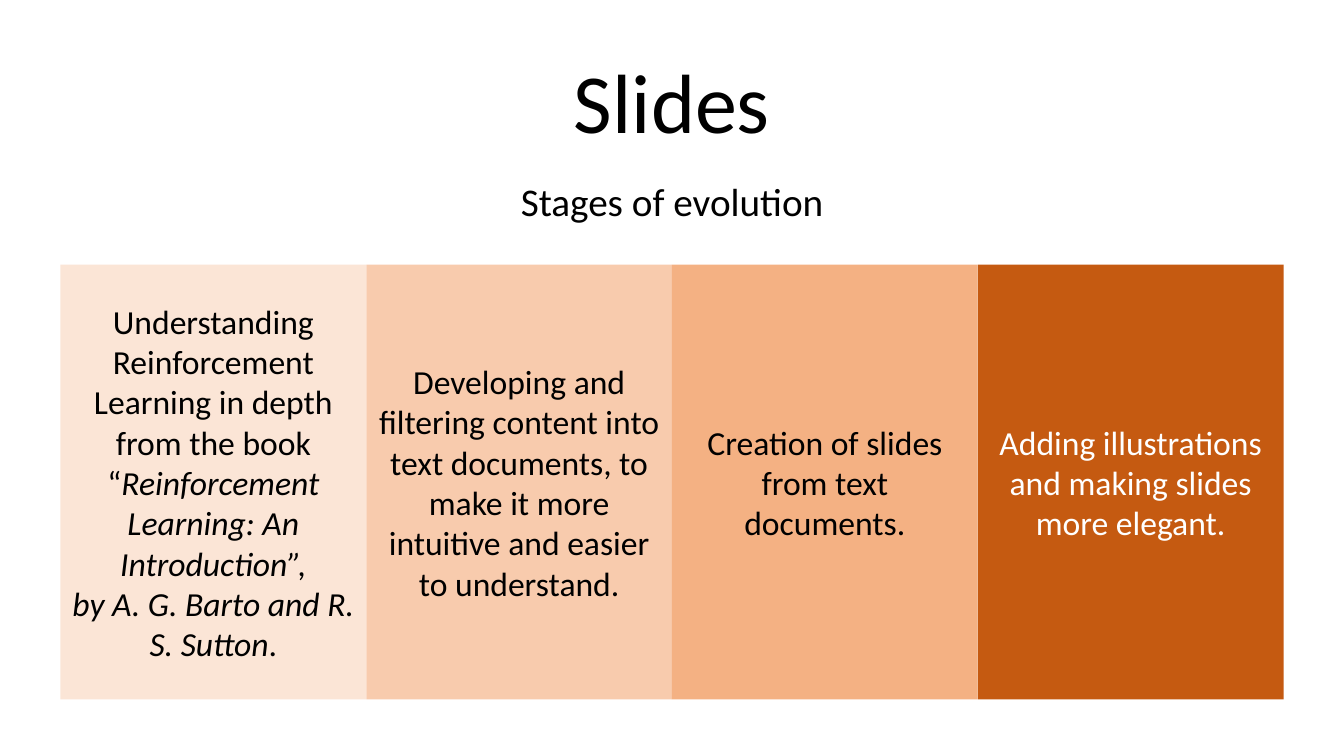
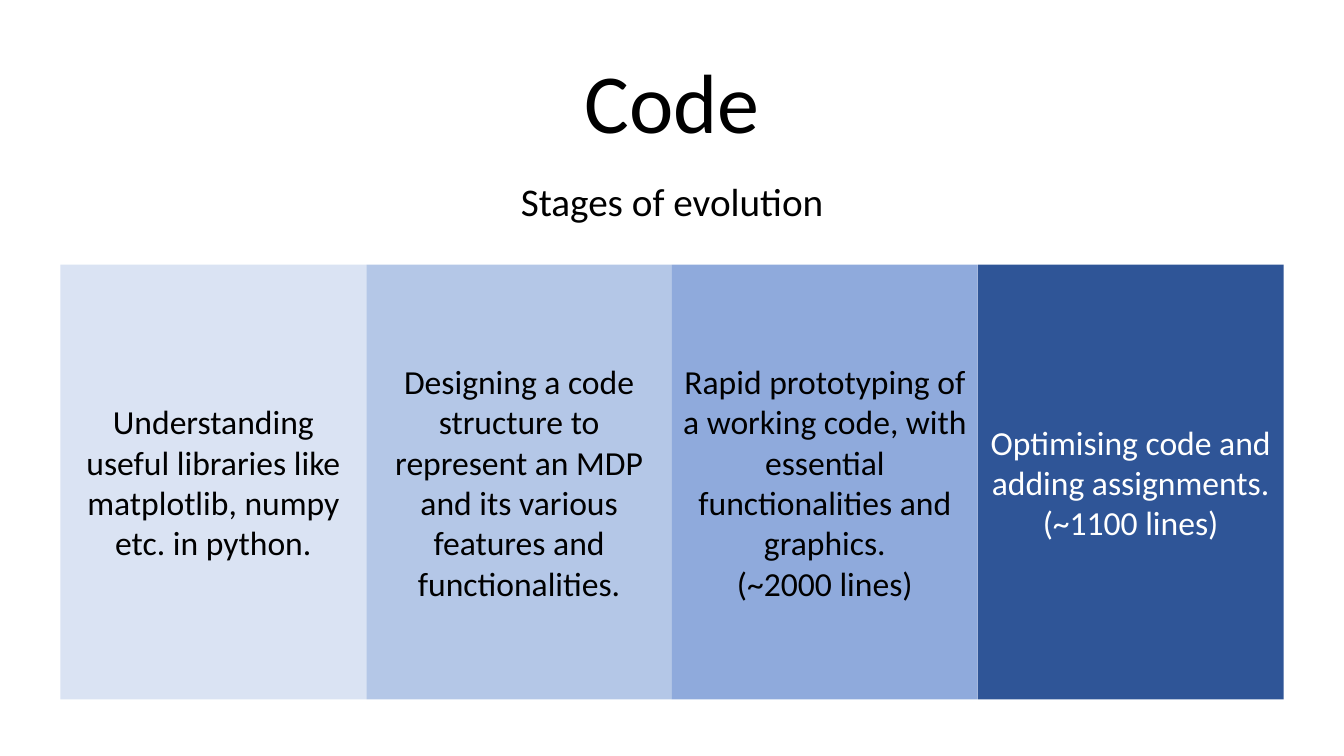
from pptx import Presentation
from pptx.dml.color import RGBColor
from pptx.enum.shapes import MSO_SHAPE as Shape
from pptx.enum.text import MSO_ANCHOR as Anchor, PP_ALIGN as Align
from pptx.util import Inches, Pt

BLACK, WHITE = "000000", "FFFFFF"

# Shared text formats
TITLE = {"name": "Calibri", "size": Pt(60)}
SUBTITLE = {"name": "Calibri", "size": Pt(28)}
STAGE = {"name": "Calibri", "size": Pt(24)}

# Each stage: fill, text colour, paragraphs made of (text, italic) runs
SLIDES = [
    ("Slides", [
        ("FBE5D6", BLACK, [
            [("Understanding Reinforcement Learning in depth from the book", False)],
            [("“", False), ("Reinforcement Learning: An Introduction”,", True)],
            [("by A. G. Barto and R. S. Sutton", True), (".", False)],
        ]),
        ("F8CBAD", BLACK, [
            [("Developing and filtering content into text documents, "
              "to make it more intuitive and easier to understand.", False)],
        ]),
        ("F4B183", BLACK, [[("Creation of slides from text documents.", False)]]),
        ("C55A11", WHITE, [
            [("Adding illustrations and making slides more elegant.", False)],
        ]),
    ]),
    ("Code", [
        ("DAE3F3", BLACK, [
            [("Understanding useful libraries like matplotlib, numpy etc. in python.", False)],
        ]),
        ("B4C7E7", BLACK, [
            [("Designing a code structure to represent an MDP and its "
              "various features and functionalities.", False)],
        ]),
        ("8FAADC", BLACK, [
            [("Rapid prototyping of a working code, with essential "
              "functionalities and graphics.", False)],
            [("(~2000 lines)", False)],
        ]),
        ("2F5597", WHITE, [
            [("Optimising code and adding assignments.", False)],
            [("(~1100 lines)", False)],
        ]),
    ]),
]


def rgb(code):
    return RGBColor.from_string(code)


def write(frame, paragraphs, style, colour, anchor):
    frame.word_wrap = True
    frame.vertical_anchor = anchor
    for number, runs in enumerate(paragraphs):
        paragraph = frame.add_paragraph() if number else frame.paragraphs[0]
        paragraph.alignment = Align.CENTER
        for text, italic in runs:
            run = paragraph.add_run()
            run.text = text
            for attribute, value in {**style, "italic": italic}.items():
                setattr(run.font, attribute, value)
            run.font.color.rgb = rgb(colour)


deck = Presentation()
deck.slide_width, deck.slide_height = Inches(13.33), Inches(7.5)
width, height = deck.slide_width, deck.slide_height

# Grid: four touching columns between equal side margins
margin = Inches(0.6)
column = (width - 2 * margin) // 4
band_top, band_height = int(height * 0.35), int(height * 0.575)

for title, stages in SLIDES:
    slide = deck.slides.add_slide(deck.slide_layouts[6])

    # Stage panels
    for index, (fill, colour, paragraphs) in enumerate(stages):
        panel = slide.shapes.add_shape(
            Shape.RECTANGLE, margin + index * column, band_top, column, band_height)
        panel.shadow.inherit = False
        panel.fill.solid()
        panel.fill.fore_color.rgb = rgb(fill)
        panel.line.fill.background()
        write(panel.text_frame, paragraphs, STAGE, colour, Anchor.MIDDLE)

    # Subtitle and title across the full width
    for text, style, top, tall in [
        ("Stages of evolution", SUBTITLE, 1.71, 0.57),
        (title, TITLE, 0.44, 1.11),
    ]:
        heading = slide.shapes.add_textbox(0, Inches(top), width, Inches(tall))
        write(heading.text_frame, [[(text, False)]], style, BLACK, Anchor.TOP)

deck.save("out.pptx")
